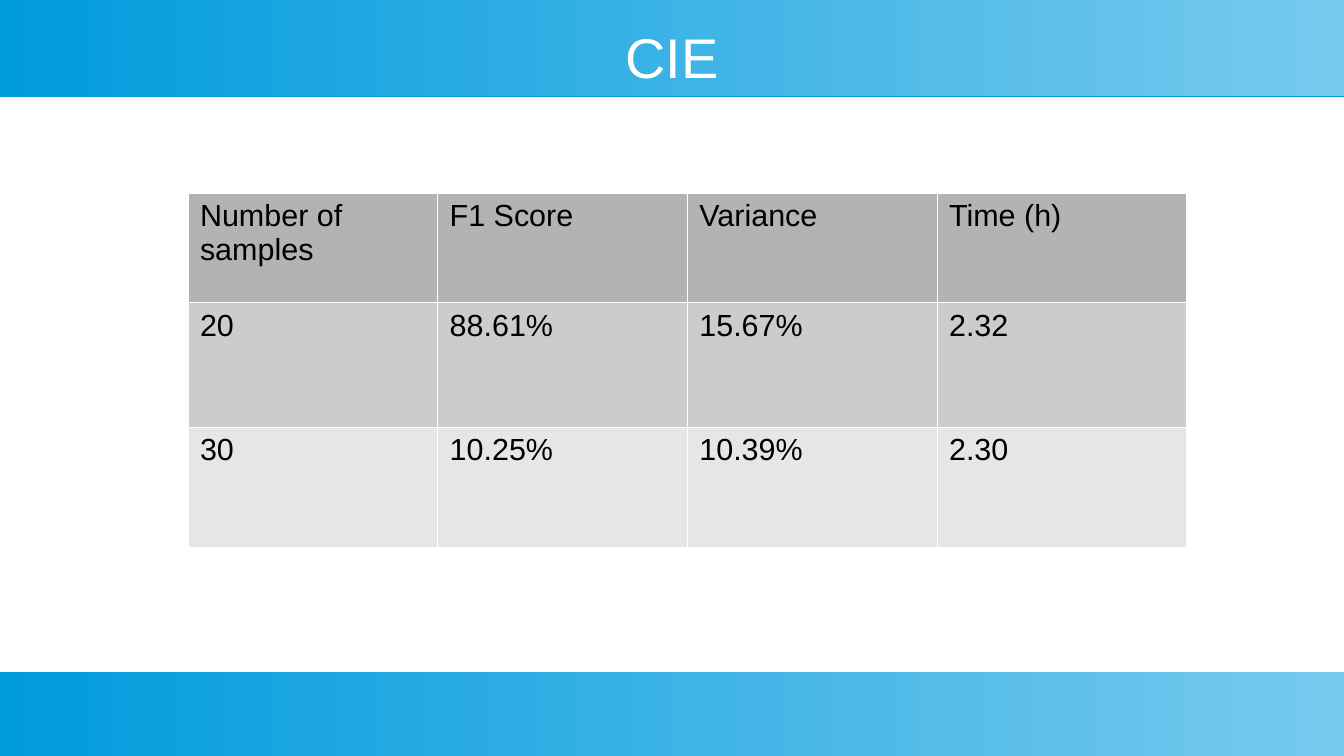
"""Build the CIE results slide with its banner bars, title and score table."""
from lxml import etree
from pptx import Presentation
from pptx.dml.color import RGBColor
from pptx.enum import shapes, text
from pptx.oxml import ns
from pptx.util import Inches, Pt

COLORS = {
    "deep": "009BDD",
    "pale": "77CAEE",
    "white": "FFFFFF",
    "black": "000000",
    "header": "B3B3B3",
    "odd": "CCCCCC",
    "even": "E6E6E6",
}
WIDTH, HEIGHT = 11.02, 6.2


def color(name):
    return RGBColor.from_string(COLORS[name])


def add_element(parent, tag, **attributes):
    return etree.SubElement(parent, ns.qn(tag), attributes)


deck = Presentation()
deck.slide_width, deck.slide_height = Inches(WIDTH), Inches(HEIGHT)
layout = deck.slide_layouts[5]
for holder in [*layout.placeholders, *deck.slide_master.placeholders]:
    if holder.top + holder.height > deck.slide_height:
        holder._element.getparent().remove(holder._element)
page = deck.slides.add_slide(layout)

title = page.shapes.title
title.left, title.top = Inches(0.39), Inches(0.2)
title.width, title.height = Inches(10.24), Inches(0.52)
frame = title.text_frame
frame.margin_left = frame.margin_right = frame.margin_top = frame.margin_bottom = 0
frame.vertical_anchor = text.MSO_ANCHOR.MIDDLE
frame.text = "CIE"
para = frame.paragraphs[0]
para.alignment = text.PP_ALIGN.CENTER
para.font.name, para.font.size = "Arial", Pt(33)
para.font.color.rgb = color("white")

for top, height in [(5.51, 0.69), (0, 0.79)]:
    bar = page.shapes.add_shape(
        shapes.MSO_SHAPE.RECTANGLE, 0, Inches(top), Inches(WIDTH), Inches(height)
    )
    bar.line.fill.background()
    bar.fill.gradient()
    bar.fill.gradient_angle = 0
    for stop, shade in zip(bar.fill.gradient_stops, ["deep", "pale"]):
        stop.color.rgb = color(shade)
    bar.shadow.inherit = False
    page.shapes._spTree.insert(2, bar._element)

effects = bar._element.spPr.find(ns.qn("a:effectLst"))
shadow = add_element(
    effects, "a:outerShdw", blurRad="0", dist=str(Pt(0.5)), dir="5400000", rotWithShape="0"
)
add_element(shadow, "a:srgbClr", val=COLORS["deep"])

rows = [
    ("header", 0.9, ["Number of samples", "F1 Score", "Variance", "Time (h)"]),
    ("odd", 1.02, ["20", "88.61%", "15.67%", "2.32"]),
    ("even", 0.99, ["30", "10.25%", "10.39%", "2.30"]),
]
table = page.shapes.add_table(
    len(rows), 4, Inches(1.54), Inches(1.58), Inches(8.19), Inches(2.9)
).table

for row, (shade, height, values) in zip(table.rows, rows):
    row.height = Inches(height)
    for cell, value in zip(row.cells, values):
        cell.text = value
        font = cell.text_frame.paragraphs[0].font
        font.name, font.size, font.bold = "Arial", Pt(18), False
        font.color.rgb = color("black")
        properties = cell._tc.get_or_add_tcPr()
        for side in ["a:lnL", "a:lnR", "a:lnT", "a:lnB"]:
            border = add_element(properties, side, w=str(Pt(0.06)))
            fill = add_element(border, "a:solidFill")
            add_element(fill, "a:srgbClr", val=COLORS["white"])
        cell.fill.solid()
        cell.fill.fore_color.rgb = color(shade)

deck.save("out.pptx")
